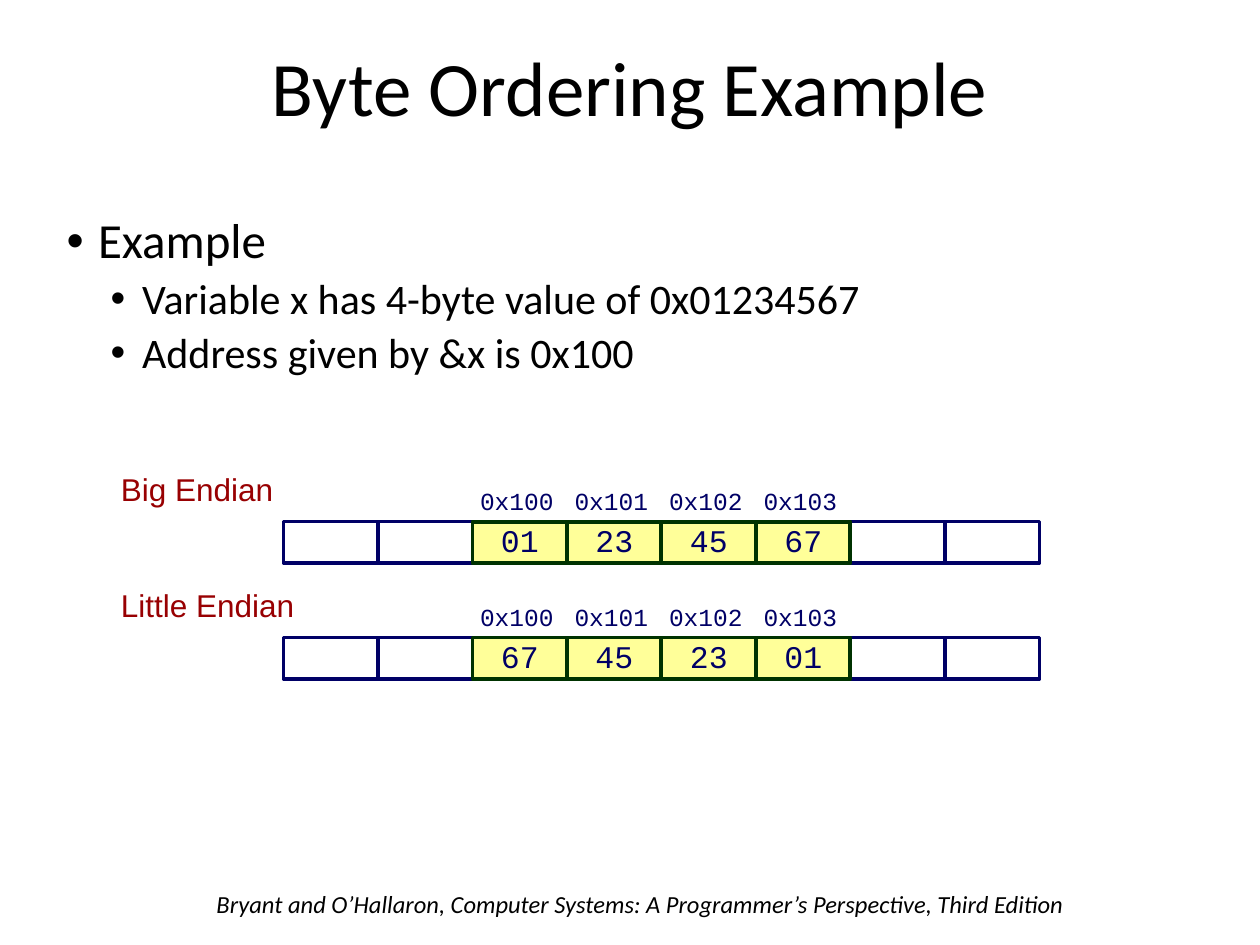
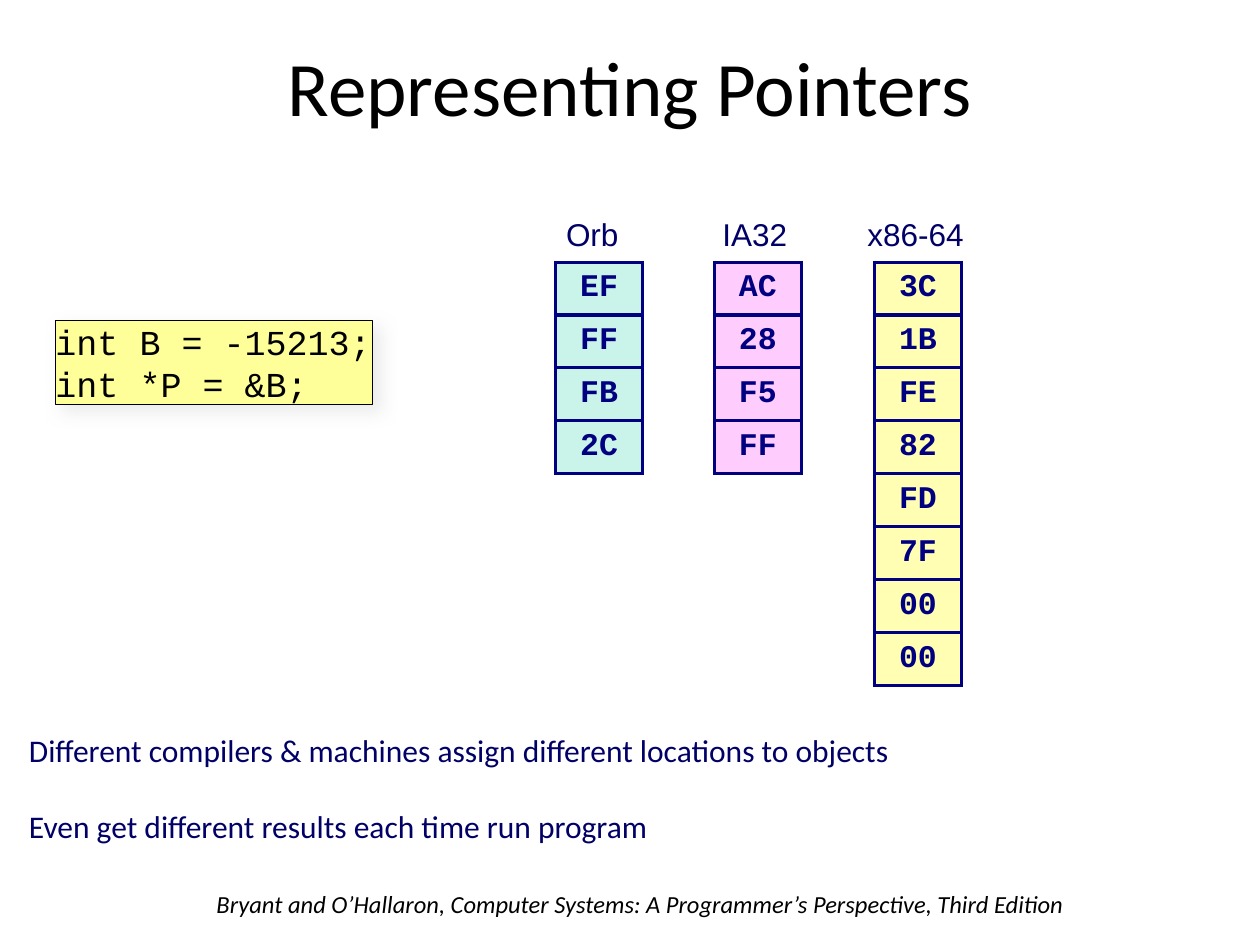
from lxml import etree
from pptx import Presentation
from pptx.dml.color import RGBColor
from pptx.enum.shapes import MSO_SHAPE
from pptx.enum.text import MSO_ANCHOR, PP_ALIGN
from pptx.oxml import parse_xml
from pptx.oxml.ns import nsdecls, qn
from pptx.util import Inches, Pt

NAVY, NAVY_TABLE, GREEN, RED = "000066", "000080", "003300", "980002"
BLACK, WHITE, YELLOW = "000000", "FFFFFF", "FFFF99"
MONO = "Courier New"
CENTER = {"alignment": PP_ALIGN.CENTER}
TIGHT = {"line_spacing": 0.9}
INSET = (0.06, 0.06, 0.1, 0.06)
SIDES = ("margin_left", "margin_top", "margin_right", "margin_bottom")
FOOTER = ("Bryant and O’Hallaron, Computer Systems: "
          "A Programmer’s Perspective, Third Edition")


def rgb(value):
    """Return the colour for a hex string."""
    return RGBColor.from_string(value)


def apply(target, values):
    """Set each attribute named in values on target."""
    for name, value in values.items():
        setattr(target, name, value)


def font(size, color, name="Calibri", **extra):
    """Return font format values."""
    return {"size": Pt(size), "color": color, "name": name, **extra}


class Deck:
    """Hold the style and the current slide."""

    def __init__(self):
        """Start an empty deck of 10 by 7.5 inches."""
        self.prs = Presentation()
        self.prs.slide_width, self.prs.slide_height = Inches(10), Inches(7.5)
        self.s = None

    def slide(self, title):
        """Add a slide with its footer and title."""
        self.s = self.prs.slides.add_slide(self.prs.slide_layouts[6])
        self.text([FOOTER], (1.62, 7.01, 7.1, 0.34), font(14, BLACK, italic=True))
        self.text([title], (0, 0, 10, 1.45), font(44, BLACK), {**CENTER, **TIGHT},
                  anchor=MSO_ANCHOR.MIDDLE)

    def fill_text(self, tf, lines, fmt, para=None, gap=0):
        """Fill a text frame with one paragraph per line."""
        for i, line in enumerate(lines):
            p = tf.paragraphs[0] if i == 0 else tf.add_paragraph()
            apply(p, para or {})
            if i and gap:
                p.space_before = Pt(gap)
            self.add_text(p, line, fmt)

    def add_text(self, p, text, fmt):
        """Add a formatted run to a paragraph."""
        r = p.add_run()
        r.text = text
        apply(r.font, {k: v for k, v in fmt.items() if k != "color"})
        r.font.color.rgb = rgb(fmt["color"])

    def frame(self, tf, inset, wrap=True, anchor=MSO_ANCHOR.TOP):
        """Set the margins, wrapping and anchor of a text frame."""
        apply(tf, dict(zip(SIDES, map(Inches, inset))))
        apply(tf, {"word_wrap": wrap, "vertical_anchor": anchor})

    def text(self, lines, at, fmt, para=None, gap=0, inset=(0.1, 0.05, 0.1, 0.05),
             wrap=True, anchor=MSO_ANCHOR.TOP):
        """Add a text box."""
        tf = self.s.shapes.add_textbox(*map(Inches, at)).text_frame
        self.frame(tf, inset, wrap, anchor)
        self.fill_text(tf, lines, fmt, para, gap)

    def bullets(self, items, at):
        """Add a bulleted list of (level, text) items."""
        tf = self.s.shapes.add_textbox(*map(Inches, at)).text_frame
        self.frame(tf, (0.1, 0.05, 0.1, 0.05))
        for i, (level, line) in enumerate(items):
            p = tf.paragraphs[0] if i == 0 else tf.add_paragraph()
            apply(p, {"level": level, **TIGHT})
            if i:
                p.space_before = Pt(5 if level else 10)
            pPr = p._p.get_or_add_pPr()
            pPr.set("marL", str(Inches(0.25 + 0.35 * level)))
            pPr.set("indent", str(Inches(-0.25)))
            etree.SubElement(pPr, qn("a:buFont")).set("typeface", "Arial")
            etree.SubElement(pPr, qn("a:buChar")).set("char", "•")
            self.add_text(p, line, font(28 - 4 * level, BLACK))

    def rect(self, at, fill, line, width):
        """Add a filled and outlined rectangle."""
        sp = self.s.shapes.add_shape(MSO_SHAPE.RECTANGLE, *map(Inches, at))
        sp.shadow.inherit = False
        sp.fill.solid()
        sp.fill.fore_color.rgb = rgb(fill)
        sp.line.color.rgb = rgb(line)
        sp.line.width = Pt(width)
        return sp

    def code(self, lines, at):
        """Add a code box with a soft shadow."""
        sp = self.rect(at, YELLOW, BLACK, 0.5)
        self.frame(sp.text_frame, (0, 0, 0, 0), wrap=False)
        self.fill_text(sp.text_frame, lines, font(20, BLACK, MONO),
                       {"alignment": PP_ALIGN.LEFT})
        effects = sp._element.spPr.find(qn("a:effectLst"))
        effects.append(parse_xml(
            f'<a:outerShdw {nsdecls("a")} blurRad="{Pt(10)}" dist="{Pt(6)}" '
            'dir="2700000" algn="tl" rotWithShape="0"><a:srgbClr val="E7E6E6">'
            '<a:alpha val="75000"/></a:srgbClr></a:outerShdw>'))

    def memory(self, name, top, data):
        """Add a labelled row of eight memory cells with data in the middle four."""
        width, height, left = 0.75, 0.33, 2.25
        self.text([name], (0.92, top - 0.42, 1.96, 0.36), font(18, RED, "Arial"),
                  {"line_spacing": 0.95}, inset=(0.04, 0.03, 0.07, 0.03))
        for i in (0, 1, 6, 7):
            self.rect((left + i * width, top, width, height), WHITE, NAVY, 2)
        for i, byte in enumerate(data):
            x = left + (i + 2) * width
            self.text([f"0x{0x100 + i:x}"], (x, top - height, width, height),
                      font(14, NAVY, MONO), inset=INSET, wrap=False,
                      anchor=MSO_ANCHOR.MIDDLE)
            sp = self.rect((x, top, width, height), YELLOW, GREEN, 2.25)
            self.frame(sp.text_frame, (0, 0, 0, 0), False, MSO_ANCHOR.MIDDLE)
            self.fill_text(sp.text_frame, [byte], font(18, NAVY, MONO),
                           {**CENTER, **TIGHT})

    def byte_column(self, data, left, fill):
        """Add a one-column table of bytes."""
        top, width, row = 2.08, 0.69, 5 / 12
        table = self.s.shapes.add_table(
            len(data), 1, Inches(left), Inches(top), Inches(width),
            Inches(row * len(data))).table
        apply(table, {"first_row": False, "horz_banding": False})
        for i, byte in enumerate(data):
            cell = table.cell(i, 0)
            apply(cell, dict.fromkeys(SIDES, Inches(0.06)))
            cell.vertical_anchor = MSO_ANCHOR.MIDDLE
            cell.fill.solid()
            cell.fill.fore_color.rgb = rgb(fill)
            self.fill_text(cell.text_frame, [byte],
                           font(18, NAVY_TABLE, MONO, bold=True), CENTER)
            tcPr = cell._tc.get_or_add_tcPr()
            for j, side in enumerate(("lnL", "lnR", "lnT", "lnB")):
                tcPr.insert(j, parse_xml(
                    f'<a:{side} {nsdecls("a")} w="{Pt(2)}"><a:solidFill>'
                    f'<a:srgbClr val="{NAVY_TABLE}"/></a:solidFill></a:{side}>'))


def main():
    """Build and save the deck."""
    deck = Deck()

    deck.slide("Byte Ordering Example")
    deck.bullets([(0, "Example"),
                  (1, "Variable x has 4-byte value of 0x01234567"),
                  (1, "Address given by &x is 0x100")], (0.43, 1.67, 8.64, 5.26))
    data = ["01", "23", "45", "67"]
    deck.memory("Big Endian", 4.14, data)
    deck.memory("Little Endian", 5.06, data[::-1])

    deck.slide("Representing Pointers")
    deck.text(["Different compilers & machines assign different locations to objects",
               "Even get different results each time run program"],
              (0.17, 5.74, 9.67, 0.74), font(18, NAVY), gap=22, inset=INSET)
    deck.code(["int B = -15213;", "int *P = &B;"], (0.44, 2.54, 2.52, 0.67))
    machines = [
        ("Orb", 4.4, 0.64, 4.41, "CAF4E9", "EF FF FB 2C"),
        ("IA32", 5.66, 0.7, 5.67, "FFCCFE", "AC 28 F5 FF"),
        ("x86-64", 6.81, 0.95, 6.94, "FFFEB2", "3C 1B FE 82 FD 7F 00 00"),
    ]
    for name, x, width, left, fill, pointer in machines:
        deck.text([name], (x, 1.65, width, 0.42), font(18, NAVY, "Arial"), CENTER,
                  inset=INSET, wrap=False)
        deck.byte_column(pointer.split(), left, fill)

    deck.prs.save("out.pptx")


if __name__ == "__main__":
    main()
